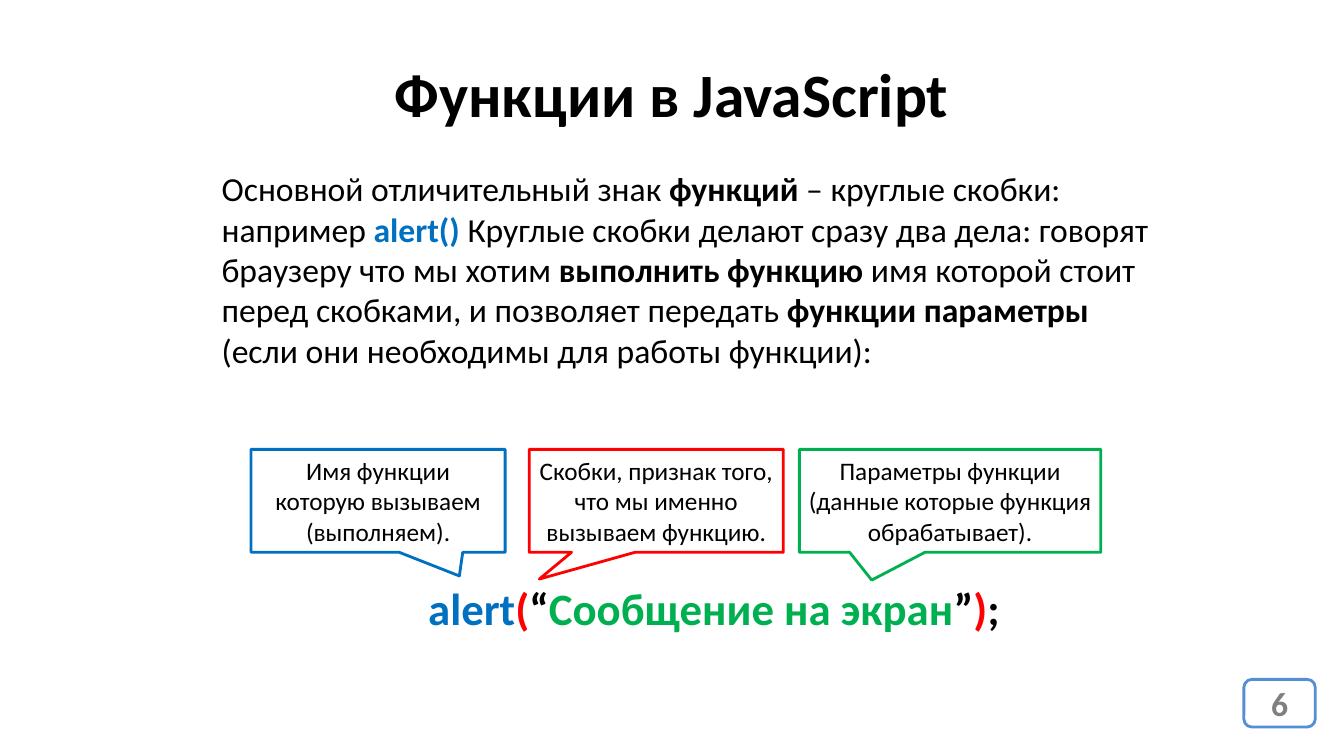
import pptx
import pptx.util
import pptx.dml.color
import pptx.enum.shapes
import pptx.enum.text

Pt = pptx.util.Pt
SHAPES = pptx.enum.shapes.MSO_SHAPE
ALIGN = pptx.enum.text.PP_ALIGN
ANCHOR = pptx.enum.text.MSO_ANCHOR

FONT = "Calibri"
BLACK, WHITE, GREY = "000000", "FFFFFF", "808080"
BLUE, RED, GREEN, BORDER = "0070C0", "FF0000", "00B050", "558ED5"


def rgb(hex_color):
    """Turn a hex string into a colour."""
    return pptx.dml.color.RGBColor.from_string(hex_color)


def write(frame, runs, size, align=ALIGN.LEFT, anchor=ANCHOR.TOP, wrap=True):
    """Fill a text frame with one paragraph of (text, colour, bold) runs."""
    frame.word_wrap = wrap
    frame.auto_size = pptx.enum.text.MSO_AUTO_SIZE.NONE
    frame.vertical_anchor = anchor
    paragraph = frame.paragraphs[0]
    paragraph.alignment = align
    for text, color, bold in runs:
        run = paragraph.add_run()
        run.text = text
        run.font.name = FONT
        run.font.size = Pt(size)
        run.font.bold = bold
        run.font.color.rgb = rgb(color)


def add_title(slide, text, left, top, width, height):
    """Place the title placeholder and write the heading in it."""
    title = slide.shapes.title
    title.left, title.top = Pt(left), Pt(top)
    title.width, title.height = Pt(width), Pt(height)
    write(title.text_frame, [(text, BLACK, True)], 44, ALIGN.CENTER, ANCHOR.MIDDLE)


def add_text(slide, box, runs, size, wrap=True):
    """Add a text box at box (left, top, width, height)."""
    text_box = slide.shapes.add_textbox(*map(Pt, box))
    write(text_box.text_frame, runs, size, wrap=wrap)


def add_outlined(slide, kind, box, border, run, size, fill=None):
    """Add an outlined shape with centred text and return it."""
    shape = slide.shapes.add_shape(kind, *map(Pt, box))
    shape.shadow.inherit = False
    if fill:
        shape.fill.solid()
        shape.fill.fore_color.rgb = rgb(fill)
    else:
        shape.fill.background()
    shape.line.color.rgb = rgb(border)
    shape.line.width = Pt(2)
    frame = shape.text_frame
    frame.margin_left = frame.margin_right = Pt(6)
    write(frame, [run], size, ALIGN.CENTER, ANCHOR.MIDDLE)
    return shape


def add_callout(slide, left, width, color, text, tip):
    """Add a callout whose tip is given relative to its centre."""
    callout = add_outlined(slide, SHAPES.RECTANGULAR_CALLOUT,
                           (left, 321, width, 73.5), color,
                           (text, BLACK, False), 18)
    callout.adjustments[0], callout.adjustments[1] = tip


def main():
    """Build the slide and save it."""
    deck = pptx.Presentation()
    deck.slide_width, deck.slide_height = Pt(960), Pt(540)
    slide = deck.slides.add_slide(deck.slide_layouts[5])

    add_title(slide, "Функции в JavaScript", 0, 37.5, 960, 57)
    add_outlined(slide, SHAPES.ROUNDED_RECTANGLE, (888.5, 485.3, 51, 34), BORDER,
                 ("6", GREY, True), 24, WHITE)

    explanation = [
        ("Основной отличительный знак ", BLACK, False),
        ("функций", BLACK, True),
        (" – круглые скобки: например ", BLACK, False),
        ("alert() ", BLUE, True),
        ("Круглые скобки делают сразу два дела: говорят браузеру что мы хотим ",
         BLACK, False),
        ("выполнить функцию", BLACK, True),
        (" имя которой стоит перед скобками, и позволяет передать ", BLACK, False),
        ("функции параметры", BLACK, True),
        (" (если они необходимы для работы функции): ", BLACK, False),
    ]
    add_text(slide, (151.2, 116.6, 680.4, 152.6), explanation, 24)

    call_parts = [("alert", BLUE), ("(", RED), ("“", BLACK),
                  ("Сообщение на экран", GREEN), ("”", BLACK),
                  (")", RED), (";", BLACK)]
    add_text(slide, (298.8, 411.1, 426.2, 46),
             [(text, color, True) for text, color in call_parts], 32, wrap=False)

    callouts = [
        (179.3, 181.5, BLUE, "Имя функции которую вызываем (выполняем).",
         (0.32, 0.73)),
        (378, 181.5, RED, "Скобки, признак того, что мы именно вызываем функцию.",
         (-0.46, 0.76)),
        (571, 215.3, GREEN,
         "Параметры функции (данные которые функция обрабатывает).",
         (-0.26, 0.77)),
    ]
    for callout in callouts:
        add_callout(slide, *callout)

    deck.save("out.pptx")


main()
